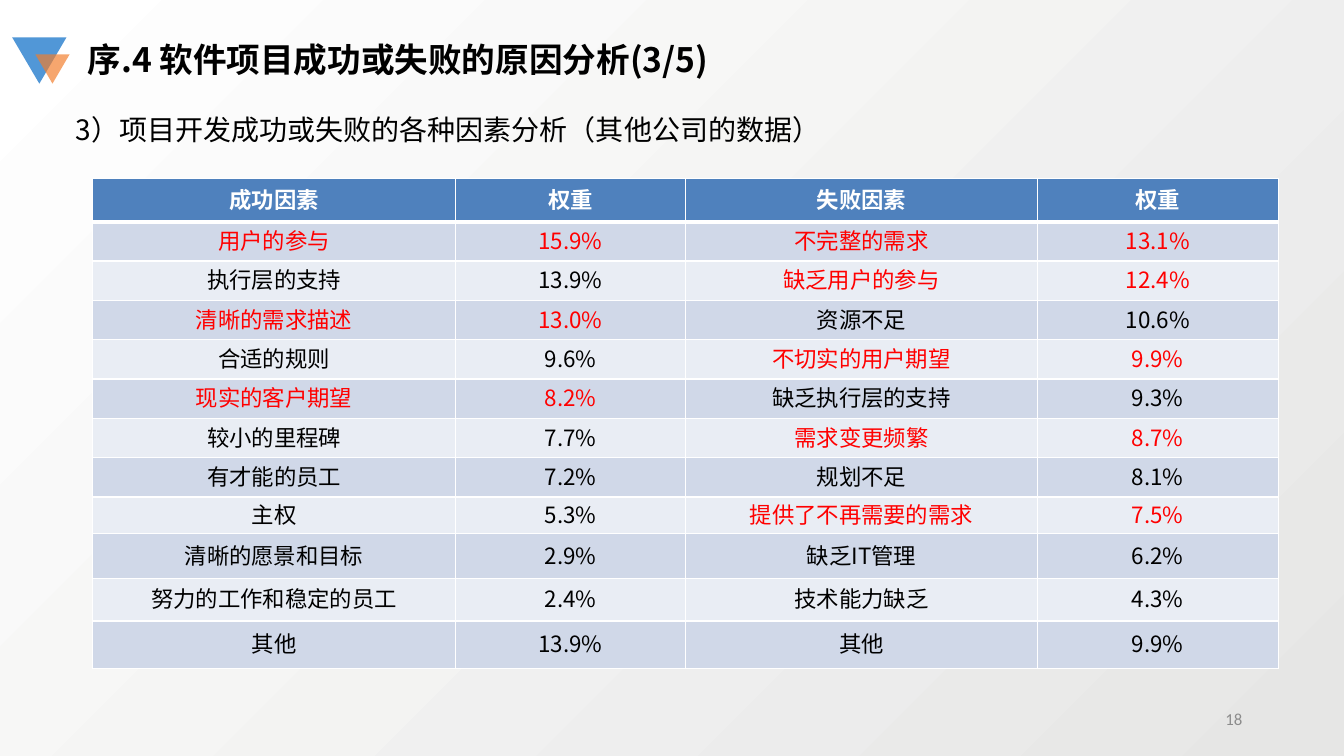
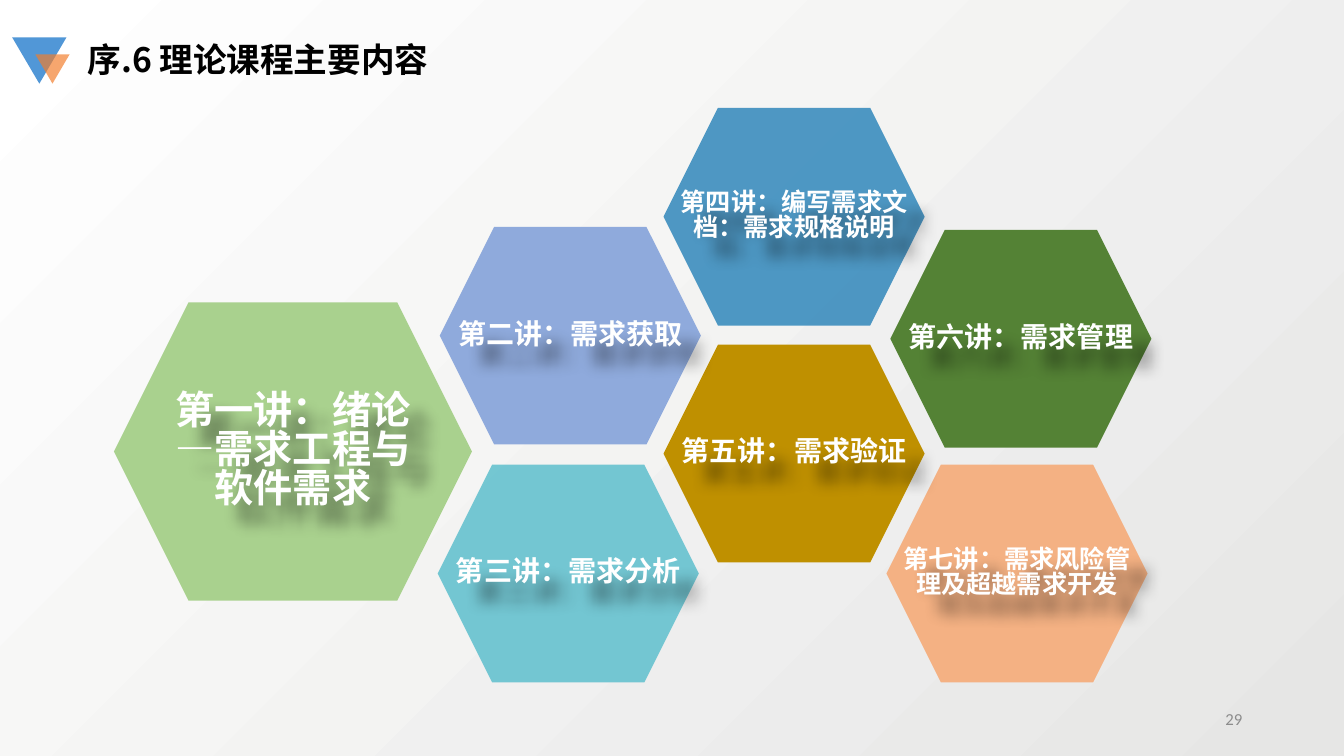
from dataclasses import dataclass

from lxml.etree import SubElement
from pptx import Presentation
from pptx.dml.color import RGBColor
from pptx.enum.shapes import MSO_SHAPE as Preset
from pptx.enum.text import MSO_ANCHOR as Anchor, MSO_AUTO_SIZE as AutoSize, PP_ALIGN as Align
from pptx.oxml.ns import qn
from pptx.util import Inches, Pt

FONT = "Noto Sans CJK SC"
NUMBER_FONT = "Calibri"
BLACK, WHITE, RED, GREY = "000000", "FFFFFF", "FF0000", "8C8C8C"
LOGO_BLUE, LOGO_ORANGE = "5197D7", "F37D2A"
HEADER_FILL, BAND_FILLS = "4F81BD", ("D0D8E8", "E9EDF4")
LINE_SPACING = 0.83

COLUMN_SHARES = (30.6, 19.4, 29.7, 20.3)
ROW_SHARES = (8.8, *[8] * 7, 7.4, 9.2, 8.6, 9.6)
FACTOR_HEADER = ("成功因素", "权重", "失败因素", "权重")
SUCCESS_FACTORS = (
    ("用户的参与", "15.9%"),
    ("执行层的支持", "13.9%"),
    ("清晰的需求描述", "13.0%"),
    ("合适的规则", "9.6%"),
    ("现实的客户期望", "8.2%"),
    ("较小的里程碑", "7.7%"),
    ("有才能的员工", "7.2%"),
    ("主权", "5.3%"),
    ("清晰的愿景和目标", "2.9%"),
    ("努力的工作和稳定的员工", "2.4%"),
    ("其他", "13.9%"),
)
FAILURE_FACTORS = (
    ("不完整的需求", "13.1%"),
    ("缺乏用户的参与", "12.4%"),
    ("资源不足", "10.6%"),
    ("不切实的用户期望", "9.9%"),
    ("缺乏执行层的支持", "9.3%"),
    ("需求变更频繁", "8.7%"),
    ("规划不足", "8.1%"),
    ("提供了不再需要的需求", "7.5%"),
    ("缺乏IT管理", "6.2%"),
    ("技术能力缺乏", "4.3%"),
    ("其他", "9.9%"),
)
REQUIREMENT_FACTORS = {
    "用户的参与", "清晰的需求描述", "现实的客户期望", "不完整的需求",
    "缺乏用户的参与", "不切实的用户期望", "需求变更频繁", "提供了不再需要的需求",
}

LARGE_HEXAGON, SMALL_HEXAGON = (34.5, 51.93), (25.17, 37.89)
LABEL_WIDTH = 25.3
LECTURES = (
    ("第一讲：绪论—需求工程与软件需求", 17.25, 59.82, LARGE_HEXAGON, 28, "A9D18E", 100),
    ("第二讲：需求获取", 43.98, 39.65, SMALL_HEXAGON, 20, "8FAADC", 100),
    ("第三讲：需求分析", 43.78, 81.05, SMALL_HEXAGON, 20, "66C2CF", 90),
    ("第四讲：编写需求文档：需求规格说明", 65.55, 18.95, SMALL_HEXAGON, 18, "3C8DBE", 90),
    ("第五讲：需求验证", 65.55, 60.18, SMALL_HEXAGON, 20, "BF9000", 100),
    ("第六讲：需求管理", 87.41, 40.18, SMALL_HEXAGON, 20, "548235", 100),
    ("第七讲：需求风险管理及超越需求开发", 87.03, 81.05, SMALL_HEXAGON, 18, "F4B183", 100),
)


@dataclass
class Box:
    left: int
    top: int
    width: int
    height: int

    def region(self, left, top, width, height):
        return Box(
            self.left + round(self.width * left / 100),
            self.top + round(self.height * top / 100),
            round(self.width * width / 100),
            round(self.height * height / 100),
        )

    def centred(self, x, y, width, height):
        return self.region(x - width / 2, y - height / 2, width, height)

    def bounds(self):
        return self.left, self.top, self.width, self.height


SLIDE = Box(0, 0, Inches(13.33), Inches(7.5))


def rgb(color):
    return RGBColor.from_string(color)


def write(frame, text, size, color, bold=False, align=Align.LEFT, anchor=Anchor.TOP, font_name=FONT):
    frame.text = text
    frame.word_wrap = True
    frame.vertical_anchor = anchor
    paragraph = frame.paragraphs[0]
    paragraph.alignment = align
    paragraph.line_spacing = LINE_SPACING
    font = paragraph.font
    font.size, font.bold, font.name = Pt(size), bold, font_name
    font.color.rgb = rgb(color)
    SubElement(font._element, qn("a:ea"), typeface=font_name)


def add_text(slide, box, text, size, color, **style):
    shape = slide.shapes.add_textbox(*box.bounds())
    write(shape.text_frame, text, size, color, **style)
    return shape


def add_preset(slide, preset, box, color, opacity=100, rotation=0):
    shape = slide.shapes.add_shape(preset, *box.bounds())
    shape.shadow.inherit = False
    shape.rotation = rotation
    shape.fill.solid()
    shape.fill.fore_color.rgb = rgb(color)
    shape.line.fill.background()
    if opacity < 100:
        color_element = shape._element.spPr.find(".//" + qn("a:srgbClr"))
        SubElement(color_element, qn("a:alpha"), val=str(opacity * 1000))


def add_label_shadow(label):
    effects = SubElement(label._element.spPr, qn("a:effectLst"))
    shadow = SubElement(effects, qn("a:outerShdw"), blurRad=str(Inches(0.14)),
                        dist=str(Inches(0.28)), dir="2700000", algn="tl", rotWithShape="0")
    shade = SubElement(shadow, qn("a:srgbClr"), val=BLACK)
    SubElement(shade, qn("a:alpha"), val="40000")


def set_background(master):
    fill = master.background.fill
    fill.gradient()
    fill.gradient_angle = 135
    for stop, color in zip(fill.gradient_stops, ("E6E6E5", WHITE)):
        stop.color.rgb = rgb(color)


def add_header(slide, box, text):
    add_preset(slide, Preset.ISOSCELES_TRIANGLE, box.region(0, 0, 6.75, 86.8), LOGO_BLUE, rotation=180)
    add_preset(slide, Preset.ISOSCELES_TRIANGLE, box.region(2.88, 32, 4.25, 54.7), LOGO_ORANGE, 68, 180)
    title = slide.shapes.title
    title.left, title.top, title.width, title.height = box.region(8.1, 5.7, 91.9, 94.3).bounds()
    title.text_frame.auto_size = AutoSize.NONE
    write(title.text_frame, text, 24, BLACK, bold=True)


def add_content_slide(presentation, title, number):
    slide = presentation.slides.add_slide(presentation.slide_layouts[5])
    add_header(slide, SLIDE.region(0.9, 4.93, 60, 7.07), title)
    add_text(slide, SLIDE.region(70.67, 92.67, 22.5, 5.33), str(number), 12, GREY,
             align=Align.RIGHT, anchor=Anchor.MIDDLE, font_name=NUMBER_FONT)
    return slide


def format_cell(cell, text, fill, color, bold, top_width, bottom_width):
    cell.margin_top = cell.margin_bottom = Inches(0.02)
    for side, width in (("L", 1), ("R", 1), ("T", top_width), ("B", bottom_width)):
        border = SubElement(cell._tc.get_or_add_tcPr(), qn("a:ln" + side), w=str(Pt(width)))
        SubElement(SubElement(border, qn("a:solidFill")), qn("a:srgbClr"), val=WHITE)
    cell.fill.solid()
    cell.fill.fore_color.rgb = rgb(fill)
    write(cell.text_frame, text, 16, color, bold, Align.CENTER)
    cell.vertical_anchor = Anchor.MIDDLE


def add_factor_table(slide, box):
    table = slide.shapes.add_table(len(ROW_SHARES), len(COLUMN_SHARES), *box.bounds()).table
    for column, share in zip(table.columns, COLUMN_SHARES):
        column.width = round(box.width * share / 100)
    for row, share in zip(table.rows, ROW_SHARES):
        row.height = round(box.height * share / 100)
    for column, text in enumerate(FACTOR_HEADER):
        format_cell(table.cell(0, column), text, HEADER_FILL, WHITE, True, 1, 3)
    for row, factors in enumerate(zip(SUCCESS_FACTORS, FAILURE_FACTORS), 1):
        for side, factor in enumerate(factors):
            color = RED if factor[0] in REQUIREMENT_FACTORS else BLACK
            for offset, text in enumerate(factor):
                format_cell(table.cell(row, 2 * side + offset), text, BAND_FILLS[(row - 1) % 2],
                            color, False, 3 if row == 1 else 1, 1)


def add_lecture_map(slide, box):
    for text, x, y, (width, height), size, color, opacity in LECTURES:
        add_preset(slide, Preset.HEXAGON, box.centred(x, y, width, height), color, opacity)
    for text, x, y, (width, height), size, color, opacity in LECTURES:
        label = add_text(slide, box.centred(x, y, LABEL_WIDTH, height), text, size, WHITE,
                         bold=True, align=Align.CENTER, anchor=Anchor.MIDDLE)
        add_label_shadow(label)


def main():
    presentation = Presentation()
    presentation.slide_width, presentation.slide_height = SLIDE.width, SLIDE.height
    set_background(presentation.slide_master)

    factors = add_content_slide(presentation, "序.4 软件项目成功或失败的原因分析(3/5)", 18)
    add_text(factors, SLIDE.region(4.88, 14.93, 63.17, 5.87),
             "3）项目开发成功或失败的各种因素分析（其他公司的数据）", 20, BLACK)
    add_factor_table(factors, SLIDE.region(6.9, 23.6, 88.2, 65.07))

    lectures = add_content_slide(presentation, "序.6 理论课程主要内容", 29)
    add_lecture_map(lectures, SLIDE.region(8.48, 14.27, 77.2, 76))

    presentation.save("out.pptx")


if __name__ == "__main__":
    main()
